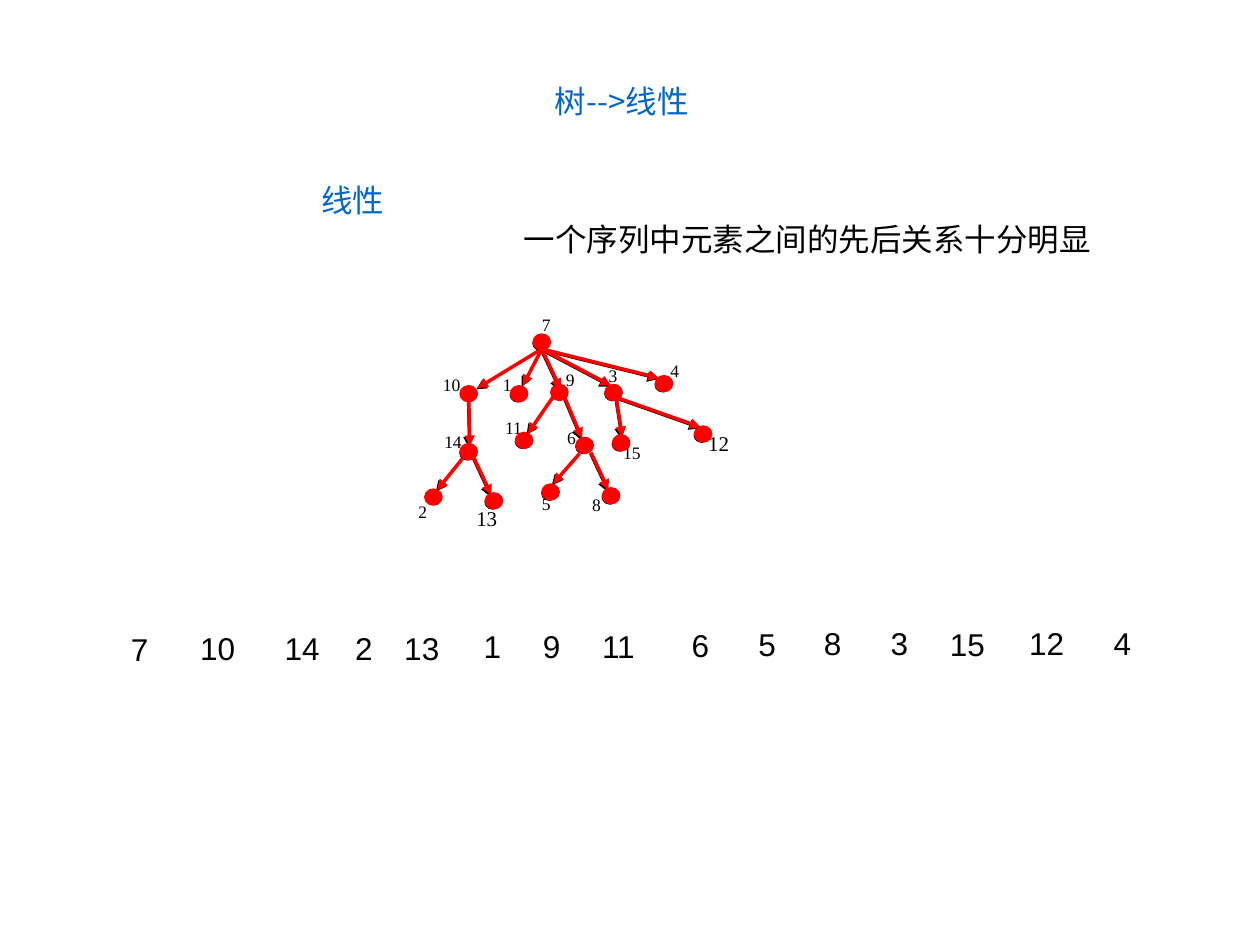
import pptx
import pptx.util
from lxml import etree
from pptx.dml.color import RGBColor
from pptx.enum.shapes import MSO_CONNECTOR, MSO_SHAPE
from pptx.enum.text import MSO_ANCHOR, MSO_AUTO_SIZE, PP_ALIGN
from pptx.oxml.ns import qn
from pptx.util import Inches, Pt

BLUE = RGBColor(0x00, 0x66, 0xCC)
BLACK = RGBColor(0x00, 0x00, 0x00)
RED = RGBColor(0xFF, 0x00, 0x00)
CJK_FONT = "Noto Sans CJK SC"

TITLE = "树-->线性"
SUBTITLE = "线性"
STATEMENT = "一个序列中元素之间的先后关系十分明显"

# value: (node left, top), (label left, top)
NODES = {
    7: ((4.24, 2.66), (4.21, 2.49)),
    10: ((3.66, 3.07), (3.46, 2.97)),
    1: ((4.06, 3.07), (3.90, 2.97)),
    9: ((4.38, 3.06), (4.40, 2.93)),
    3: ((4.81, 3.06), (4.74, 2.90)),
    4: ((5.21, 2.99), (5.23, 2.86)),
    14: ((3.66, 3.53), (3.47, 3.42)),
    2: ((3.38, 3.89), (3.32, 3.98)),
    13: ((3.86, 3.92), (3.78, 4.01)),
    11: ((4.10, 3.44), (3.95, 3.31)),
    6: ((4.58, 3.48), (4.41, 3.39)),
    5: ((4.31, 3.85), (4.21, 3.91)),
    8: ((4.79, 3.88), (4.61, 3.92)),
    15: ((4.87, 3.46), (4.89, 3.51)),
    12: ((5.52, 3.39), (5.62, 3.42)),
}
NODE_SIZE = (0.12, 0.11)
LARGE_LABELS = {12, 13}
LEFT_LABELS = {2, 12, 13}
UNSHADED_NODES = {10, 9, 2}

# start point, arrow end points
BRANCHES = [
    ((4.30, 2.77), [(3.79, 3.08), (4.15, 3.06), (4.45, 3.09),
                    (4.85, 3.06), (5.23, 3.00)]),
    ((3.72, 3.15), [(3.73, 3.54)]),
    ((3.67, 3.64), [(3.47, 3.89)]),
    ((3.76, 3.63), [(3.90, 3.93)]),
    ((4.39, 3.15), [(4.19, 3.44)]),
    ((4.48, 3.15), [(4.62, 3.48)]),
    ((4.60, 3.60), [(4.39, 3.84)]),
    ((4.69, 3.59), [(4.83, 3.89)]),
    ((4.89, 3.15), [(4.94, 3.47)]),
    ((4.88, 3.15), [(5.56, 3.39)]),
]

# value, left, top
SEQUENCE = [
    (7, 0.94, 4.95), (10, 1.49, 4.94), (14, 2.16, 4.94), (2, 2.72, 4.94),
    (13, 3.11, 4.94), (1, 3.74, 4.93), (9, 4.21, 4.93), (11, 4.68, 4.93),
    (6, 5.39, 4.92), (5, 5.92, 4.91), (8, 6.44, 4.90), (3, 6.97, 4.90),
    (15, 7.44, 4.91), (12, 8.07, 4.90), (4, 8.74, 4.90),
]


def format_text(shape, text, size, font, color=BLACK, align=PP_ALIGN.LEFT,
                margins=(0.1, 0.05), wrap=True):
    frame = shape.text_frame
    frame.text = text
    frame.word_wrap = wrap
    frame.auto_size = MSO_AUTO_SIZE.NONE
    frame.vertical_anchor = MSO_ANCHOR.TOP
    frame.margin_left = frame.margin_right = Inches(margins[0])
    frame.margin_top = frame.margin_bottom = Inches(margins[1])
    paragraph = frame.paragraphs[0]
    paragraph.alignment = align
    run = paragraph.runs[0]
    run.font.size = Pt(size)
    run.font.name = font
    run.font.color.rgb = color
    east_asian = etree.SubElement(run.font._element, qn("a:ea"))
    east_asian.set("typeface", CJK_FONT)


def add_text(shapes, box, *args, **kwargs):
    textbox = shapes.add_textbox(*map(Inches, box))
    format_text(textbox, *args, **kwargs)


def add_arrow(shapes, start, end, color, width):
    arrow = shapes.add_connector(MSO_CONNECTOR.STRAIGHT,
                                 *map(Inches, start + end))
    arrow.line.color.rgb = color
    arrow.line.width = Pt(width)
    head = etree.SubElement(arrow.line._get_or_add_ln(), qn("a:tailEnd"))
    head.set("type", "triangle")
    etree.SubElement(arrow._element.spPr, qn("a:effectLst"))


def add_tree(shapes, color, width, shift=(0, 0), skipped=()):
    def moved(point):
        return point[0] + shift[0], point[1] + shift[1]

    for start, ends in BRANCHES:
        for end in ends:
            add_arrow(shapes, moved(start), moved(end), color, width)
    for value, (corner, _) in NODES.items():
        if value in skipped:
            continue
        node = shapes.add_shape(MSO_SHAPE.OVAL,
                                *map(Inches, moved(corner) + NODE_SIZE))
        node.shadow.inherit = False
        node.fill.solid()
        node.fill.fore_color.rgb = color
        node.line.color.rgb = color
        node.line.width = Pt(width)


def main():
    deck = pptx.Presentation()
    deck.slide_width, deck.slide_height = Inches(10), Inches(7.5)
    slide = deck.slides.add_slide(deck.slide_layouts[5])
    shapes = slide.shapes

    title = shapes.title
    title.left, title.top = Inches(4.06), Inches(0.6)
    title.width, title.height = Inches(1.75), Inches(0.5)
    format_text(title, TITLE, 18, CJK_FONT, BLUE, PP_ALIGN.CENTER, wrap=False)

    backdrop = shapes.add_group_shape().shapes
    add_tree(backdrop, BLACK, 0.75, (-0.01, 0.01), UNSHADED_NODES)
    for value, (_, corner) in NODES.items():
        add_text(backdrop, corner + (0.25, 0.22), str(value),
                 12 if value in LARGE_LABELS else 10, "Times New Roman",
                 align=PP_ALIGN.JUSTIFY if value in LEFT_LABELS
                 else PP_ALIGN.CENTER, margins=(0, 0))

    add_text(shapes, (2.01, 1.39, 1.58, 0.71), SUBTITLE, 18, CJK_FONT, BLUE,
             PP_ALIGN.CENTER, wrap=False)
    add_text(shapes, (4.06, 1.7, 4.96, 0.4), STATEMENT, 18, "Arial")
    add_tree(shapes, RED, 2)
    for value, left, top in SEQUENCE:
        width = 0.31 if value == 7 else 0.55
        add_text(shapes, (left, top, width, 0.4), str(value), 18, "Arial")

    deck.save("out.pptx")


if __name__ == "__main__":
    main()
